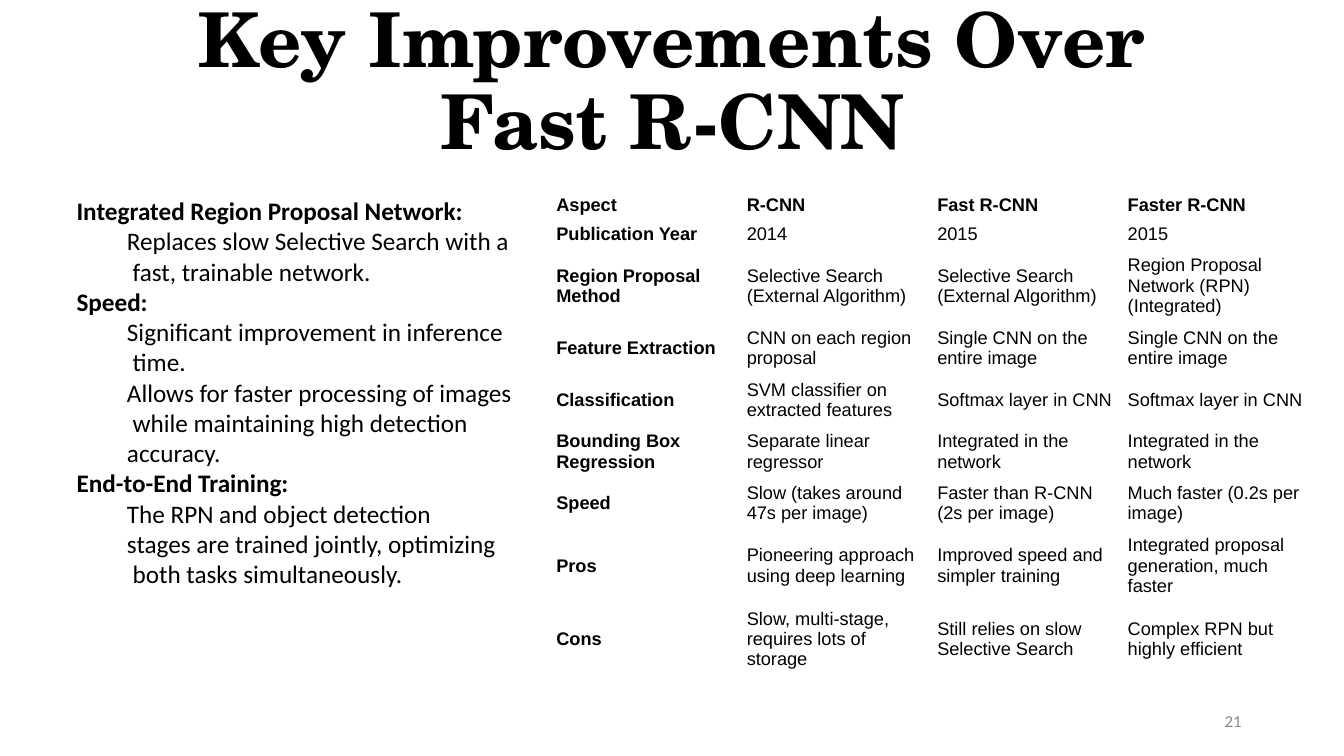
from pptx import Presentation
from pptx.dml.color import RGBColor
from pptx.enum.text import MSO_ANCHOR, PP_ALIGN
from pptx.util import Cm, Pt

COLORS = {"text": "000000", "number": "888888"}
NO_GRID_STYLE = "{2D5ABB26-0587-4C30-8999-92F81FD0307C}"
POINTS = [
    ("Integrated Region Proposal Network:", [
        "Replaces slow Selective Search with a\n fast, trainable network."]),
    ("Speed:", [
        "Significant improvement in inference\n time.",
        "Allows for faster processing of images\n while maintaining high detection \naccuracy."]),
    ("End-to-End Training:", [
        "The RPN and object detection \nstages are trained jointly, optimizing\n both tasks simultaneously."]),
]
COLUMN_WIDTH = 4.8
ONE_LINE, TWO_LINES, THREE_LINES = 0.74, 1.3, 1.85
COMPARISON = [
    (ONE_LINE, "Aspect", "R-CNN", "Fast R-CNN", "Faster R-CNN"),
    (ONE_LINE, "Publication Year", "2014", "2015", "2015"),
    (THREE_LINES, "Region Proposal Method", "Selective Search (External Algorithm)",
     "Selective Search (External Algorithm)", "Region Proposal Network (RPN) (Integrated)"),
    (TWO_LINES, "Feature Extraction", "CNN on each region proposal",
     "Single CNN on the entire image", "Single CNN on the entire image"),
    (TWO_LINES, "Classification", "SVM classifier on extracted features",
     "Softmax layer in CNN", "Softmax layer in CNN"),
    (TWO_LINES, "Bounding Box Regression", "Separate linear regressor",
     "Integrated in the network", "Integrated in the network"),
    (TWO_LINES, "Speed", "Slow (takes around 47s per image)",
     "Faster than R-CNN (2s per image)", "Much faster (0.2s per image)"),
    (THREE_LINES, "Pros", "Pioneering approach using deep learning",
     "Improved speed and simpler training", "Integrated proposal generation, much faster"),
    (THREE_LINES, "Cons", "Slow, multi-stage, requires lots of storage",
     "Still relies on slow Selective Search", "Complex RPN but highly efficient"),
]


def write(p, text, *, size, font="Calibri", color="text", bold=False,
          align=PP_ALIGN.LEFT, spacing=None, indent=0):
    """Fill a paragraph; newlines in the text become line breaks."""
    p.alignment = align
    if spacing:
        p.line_spacing = spacing
    if indent:
        p.level = 1
        pPr = p._p.get_or_add_pPr()
        pPr.set("marL", str(Cm(indent)))
        pPr.set("indent", "0")
    for i, line in enumerate(text.split("\n")):
        if i:
            p.add_line_break()
        r = p.add_run()
        r.text = line
        r.font.size = Pt(size)
        r.font.name = font
        r.font.bold = bold
        r.font.color.rgb = RGBColor.from_string(COLORS[color])


def add_text_frame(slide, box, anchor):
    tf = slide.shapes.add_textbox(*(Cm(v) for v in box)).text_frame
    tf.word_wrap = True
    tf.vertical_anchor = anchor
    return tf


def add_title(slide, box):
    tf = add_text_frame(slide, box, MSO_ANCHOR.BOTTOM)
    write(tf.paragraphs[0], "Key Improvements Over Fast R-CNN", size=54,
          font="TeX Gyre Schola", bold=True, align=PP_ALIGN.CENTER, spacing=0.9)


def add_points(slide, box):
    tf = add_text_frame(slide, box, MSO_ANCHOR.TOP)
    for i, (heading, details) in enumerate(POINTS):
        p = tf.add_paragraph() if i else tf.paragraphs[0]
        write(p, heading, size=18, bold=True)
        for detail in details:
            write(tf.add_paragraph(), detail, size=18, indent=1.27)


def add_comparison(slide, left, top):
    n_cols = len(COMPARISON[0]) - 1
    height = sum(row[0] for row in COMPARISON)
    table = slide.shapes.add_table(
        len(COMPARISON), n_cols, Cm(left), Cm(top),
        Cm(n_cols * COLUMN_WIDTH), Cm(height)).table
    table.horz_banding = False
    table._tbl.tblPr.xpath("a:tableStyleId")[0].text = NO_GRID_STYLE
    for column in table.columns:
        column.width = Cm(COLUMN_WIDTH)
    for i, (row_height, *texts) in enumerate(COMPARISON):
        table.rows[i].height = Cm(row_height)
        for j, text in enumerate(texts):
            cell = table.cell(i, j)
            cell.fill.background()
            cell.vertical_anchor = MSO_ANCHOR.MIDDLE
            cell.margin_left = cell.margin_right = Cm(0.17)
            cell.margin_top = cell.margin_bottom = Cm(0.08)
            write(cell.text_frame.paragraphs[0], text, size=13, font="Arial",
                  bold=i == 0 or j == 0)


def add_slide_number(slide, box):
    tf = add_text_frame(slide, box, MSO_ANCHOR.MIDDLE)
    write(tf.paragraphs[0], "21", size=12, color="number", align=PP_ALIGN.RIGHT)


def main():
    prs = Presentation()
    prs.slide_width, prs.slide_height = Cm(33.87), Cm(19.05)
    slide = prs.slides.add_slide(prs.slide_layouts[6])
    add_title(slide, (4.23, 1.1, 25.4, 3.2))
    add_slide_number(slide, (23.92, 17.66, 7.62, 1.01))
    add_points(slide, (1.68, 4.8, 29.5, 10.26))
    add_comparison(slide, 13.85, 4.8)
    prs.save("out.pptx")


if __name__ == "__main__":
    main()
